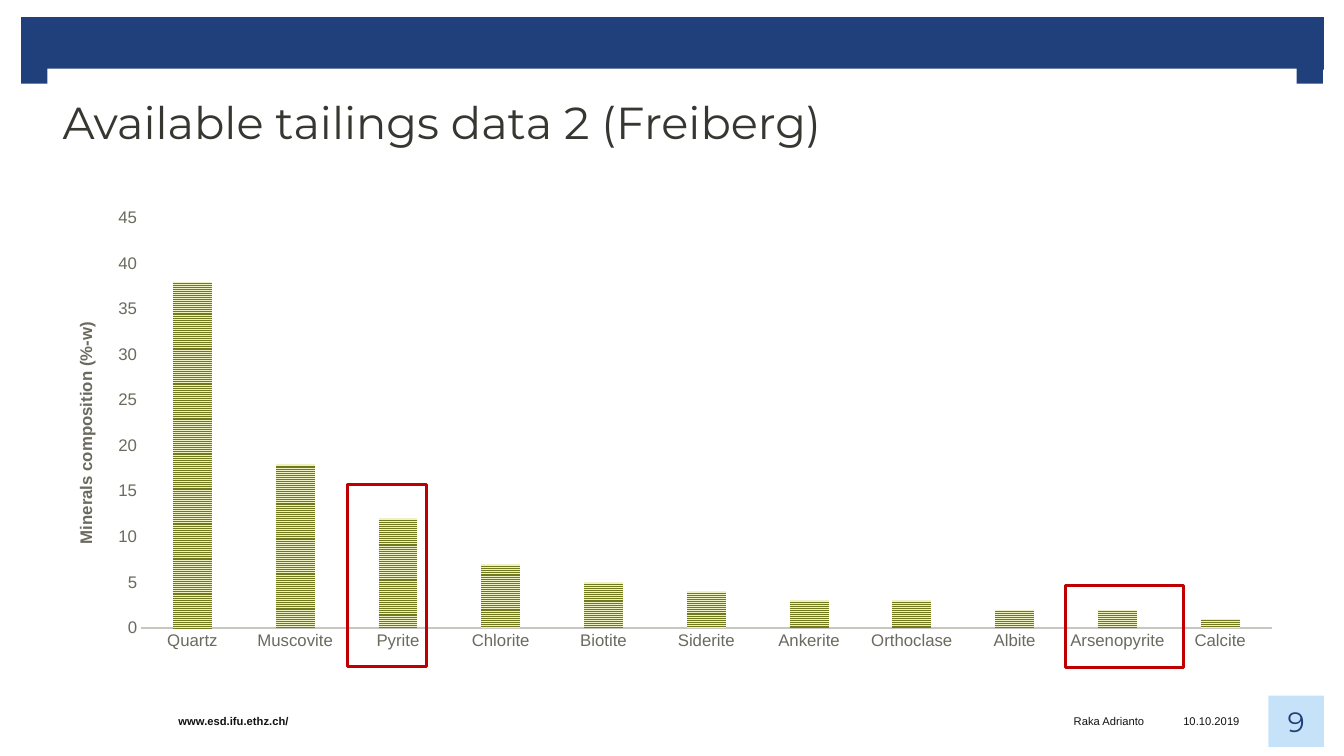
from lxml.etree import SubElement
from pptx import Presentation
from pptx.chart.data import CategoryChartData
from pptx.dml.color import RGBColor
from pptx.enum.chart import XL_CHART_TYPE as CHART, XL_TICK_MARK as TICK
from pptx.enum.dml import MSO_PATTERN as PATTERN
from pptx.enum.shapes import MSO_SHAPE as SHAPE
from pptx.enum.text import MSO_ANCHOR as ANCHOR, PP_ALIGN as ALIGN
from pptx.oxml.ns import qn
from pptx.util import Inches, Pt

NAVY, INK, GREY = "1F407A", "121210", "6A6A5E"
MINERALS = {
    "Quartz": 38, "Muscovite": 18, "Pyrite": 12, "Chlorite": 7,
    "Biotite": 5, "Siderite": 4, "Ankerite": 3, "Orthoclase": 3,
    "Albite": 2, "Arsenopyrite": 2, "Calcite": 1,
}


def rgb(value):
    """Return the colour for a hex string."""
    return RGBColor.from_string(value)


def style_font(font, size, color, name="Arial", bold=False):
    """Format a font."""
    font.size, font.name, font.bold = Pt(size), name, bold
    font.color.rgb = rgb(color)


def add_rect(s, box, fill=None, line=None):
    """Add a rectangle with a fill, an outline or both."""
    sp = s.shapes.add_shape(SHAPE.RECTANGLE, *map(Inches, box))
    sp.shadow.inherit = False
    if fill:
        sp.fill.solid()
        sp.fill.fore_color.rgb = rgb(fill)
    else:
        sp.fill.background()
    if line:
        sp.line.color.rgb = rgb(line)
        sp.line.width = Pt(2)
    else:
        sp.line.fill.background()
    return sp


def set_text(sp, text, size, color, name="Arial", bold=False, align=ALIGN.LEFT,
             left=0, right=0):
    """Write one vertically centred line of text into a shape."""
    tf = sp.text_frame
    tf.text = text
    tf.word_wrap = True
    tf.vertical_anchor = ANCHOR.MIDDLE
    tf.margin_left, tf.margin_right = Inches(left), Inches(right)
    tf.margin_top = tf.margin_bottom = 0
    p = tf.paragraphs[0]
    p.alignment = align
    style_font(p.runs[0].font, size, color, name, bold)


def add_label(s, box, text, align=ALIGN.LEFT, bold=False):
    """Add a small footer text."""
    sp = s.shapes.add_textbox(*map(Inches, box))
    set_text(sp, text, 8, INK, bold=bold, align=align)


def add_title(s, text):
    """Place the title in front of the header band."""
    sp = s.shapes.title
    sp.left, sp.top, sp.width, sp.height = map(Inches, (0.47, 0.68, 12.39, 1.06))
    sp.fill.solid()
    sp.fill.fore_color.rgb = rgb("FFFFFF")
    set_text(sp, text, 32, "373732", "Montserrat", left=0.15, right=0.16)
    s.shapes._spTree.append(sp._element)


def set_layout(parent, **settings):
    """Fix the place of a chart part as fractions of the chart."""
    layout = parent.find(qn("c:layout"))
    if layout is None:
        layout = SubElement(parent, qn("c:layout"))
        parent.remove(layout)
        tx = parent.find(qn("c:tx"))
        parent.insert(0 if tx is None else parent.index(tx) + 1, layout)
    manual = SubElement(layout, qn("c:manualLayout"))
    for tag, value in settings.items():
        SubElement(manual, qn(f"c:{tag}")).set("val", str(value))


def style_axis(axis):
    """Remove grid and ticks from an axis and format its labels."""
    axis.has_major_gridlines = False
    axis.major_tick_mark = axis.minor_tick_mark = TICK.NONE
    style_font(axis.tick_labels.font, 12, GREY)


def add_mineral_chart(s):
    """Add the column chart of mineral shares."""
    data = CategoryChartData()
    data.categories = MINERALS.keys()
    data.add_series("Series 1", MINERALS.values())
    box = map(Inches, (0.47, 1.98, 12.39, 4.56))
    chart = s.shapes.add_chart(CHART.COLUMN_CLUSTERED, *box, data).chart
    chart.has_legend = chart.has_title = False
    style_font(chart.font, 10, INK)

    plot = chart.plots[0]
    plot.gap_width, plot.overlap, plot.vary_by_categories = 164, -22, False
    fill = plot.series[0].format.fill
    fill.patterned()
    fill.pattern = PATTERN.NARROW_HORIZONTAL
    fill.fore_color.rgb, fill.back_color.rgb = rgb("72791C"), rgb("EEF1C4")

    minerals, share = chart.category_axis, chart.value_axis
    style_axis(minerals)
    minerals.format.line.color.rgb = rgb("C7C7C0")
    minerals.format.line.width = Pt(1.5)
    style_axis(share)
    share.format.line.fill.background()
    share.minimum_scale, share.maximum_scale, share.major_unit = 0, 45, 5
    tf = share.axis_title.text_frame
    tf.text = "Minerals composition (%-w)"
    style_font(tf.paragraphs[0].runs[0].font, 12, GREY, bold=True)

    set_layout(share.axis_title._element, xMode="edge", yMode="edge", x=0.02, y=0.26)
    plot_area = chart._chartSpace.find(f".//{qn('c:plotArea')}")
    set_layout(plot_area, layoutTarget="inner", xMode="edge", yMode="edge",
               x=0.075, y=0.04, w=0.905, h=0.892)


def main():
    """Build the slide and save it."""
    prs = Presentation()
    prs.slide_width, prs.slide_height = Inches(13.33), Inches(7.5)
    s = prs.slides.add_slide(prs.slide_layouts[5])

    for box in ((0.21, 0.17, 12.92, 0.52), (0.21, 0.65, 0.27, 0.18), (12.85, 0.65, 0.27, 0.18)):
        add_rect(s, box, NAVY)
    add_label(s, (1.77, 6.9, 4.89, 0.5), "www.esd.ifu.ethz.ch/", bold=True)
    add_label(s, (11.57, 6.9, 0.89, 0.51), "10.10.2019", ALIGN.CENTER)
    add_label(s, (6.67, 6.9, 4.68, 0.51), "Raka Adrianto", ALIGN.RIGHT)
    number = add_rect(s, (12.58, 6.9, 0.55, 0.51), "C6E2F9")
    set_text(number, "9", 20, NAVY, "Montserrat", align=ALIGN.CENTER)

    add_title(s, "Available tailings data 2 (Freiberg)")
    add_mineral_chart(s)
    for box in ((3.45, 4.81, 0.78, 1.8), (10.57, 5.81, 1.17, 0.81)):
        add_rect(s, box, line="C00000")
    prs.save("out.pptx")


if __name__ == "__main__":
    main()
